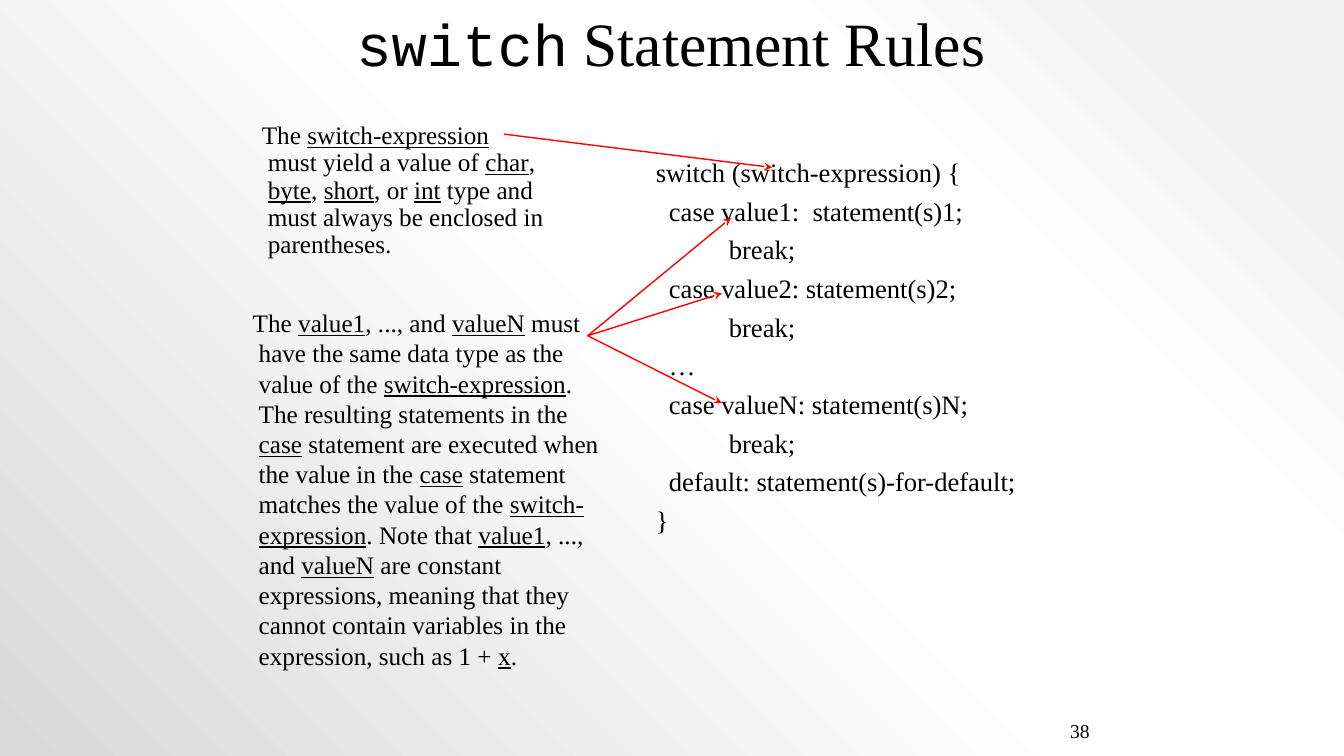
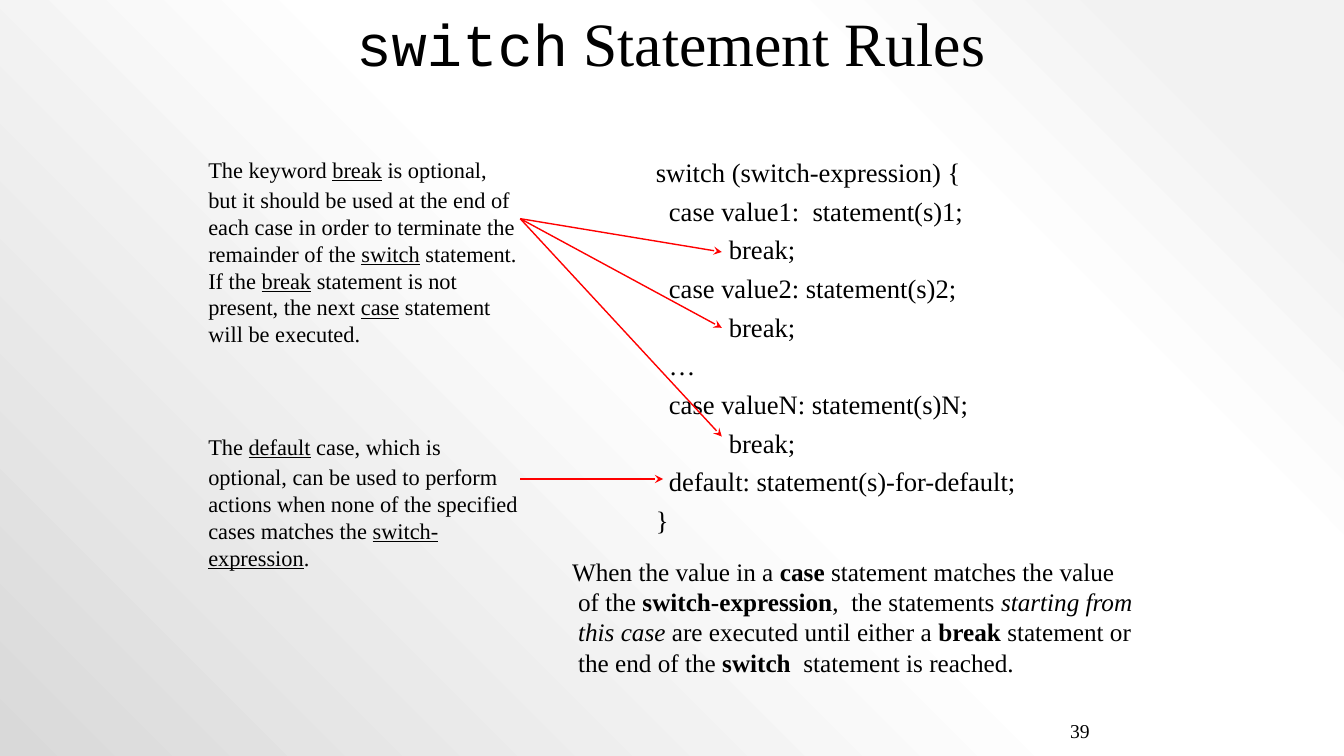
"""Build two slides that explain the rules of the switch statement."""
from dataclasses import dataclass
from typing import NamedTuple

from lxml.etree import SubElement
from pptx import Presentation
from pptx.dml.color import RGBColor
from pptx.enum.shapes import MSO_CONNECTOR
from pptx.enum.text import MSO_ANCHOR, PP_ALIGN
from pptx.oxml import parse_xml
from pptx.oxml.ns import nsdecls, qn
from pptx.slide import Slide, SlideMaster
from pptx.text.text import TextFrame, _Paragraph, _Run
from pptx.util import Cm, Pt

SERIF = "Times New Roman"
MONO = "Courier New"
BLACK = "000000"
RED = "FF0000"
BACKGROUND_STOPS = ((10, "F2F2F2"), (28, "FFFFFF"), (48, "FFFFFF"), (100, "D9D9D9"))
HANGING = 0.15
CASE_INDENT = 0.33
BREAK_INDENT = 1.84
VALUE_LEFT = 18.19


class Point(NamedTuple):
    x: float
    y: float


class Box(NamedTuple):
    left: float
    top: float
    width: float
    height: float


class CodeLine(NamedTuple):
    text: str
    indent: float = 0


@dataclass(frozen=True)
class Note:
    box: Box
    text: str
    size: int = 18
    line_spacing: float = 1.0
    leading_tab: bool = False


@dataclass(frozen=True)
class ArrowFan:
    start: Point
    ends: tuple[Point, ...]


@dataclass(frozen=True)
class RulesSlide:
    number: int
    notes: tuple[Note, ...]
    fans: tuple[ArrowFan, ...]


TITLE_BOX = Box(6.12, 0, 21.59, 2.11)
NUMBER_BOX = Box(22.43, 17.78, 5.28, 1.27)
CODE_BOX = Box(16.28, 3.81, 10.16, 10.59)

CODE = (
    CodeLine("switch (switch-expression) {"),
    CodeLine("case value1:  statement(s)1;", CASE_INDENT),
    CodeLine("break;", BREAK_INDENT),
    CodeLine("case value2: statement(s)2;", CASE_INDENT),
    CodeLine("break;", BREAK_INDENT),
    CodeLine("…", CASE_INDENT),
    CodeLine("case valueN: statement(s)N;", CASE_INDENT),
    CodeLine("break;", BREAK_INDENT),
    CodeLine("default: statement(s)-for-default;", CASE_INDENT),
    CodeLine("}"),
)

SLIDES = (
    RulesSlide(
        number=38,
        notes=(
            Note(
                Box(6.35, 2.97, 7.62, 3.58),
                "The |u:switch-expression| must yield a value of |u:char|, |u:byte|, "
                "|u:short|, or |u:int| type and must always be enclosed in parentheses.",
                line_spacing=0.9,
            ),
            Note(
                Box(6.12, 7.62, 9.53, 9.53),
                "The |u:value1|, ..., and |u:valueN| must have the same data type as the "
                "value of the |u:switch-expression|. The resulting statements in the "
                "|u:case| statement are executed when the value in the |u:case| statement "
                "matches the value of the |u:switch-expression|. Note that |u:value1|, ..., "
                "and |u:valueN| are constant expressions, meaning that they cannot contain "
                "variables in the expression, such as 1 + |u:x|.",
            ),
        ),
        fans=(
            ArrowFan(Point(12.7, 3.38), (Point(19.46, 4.22),)),
            ArrowFan(
                Point(14.81, 8.46),
                (Point(18.42, 5.49), Point(VALUE_LEFT, 7.39), Point(VALUE_LEFT, 10.16)),
            ),
        ),
    ),
    RulesSlide(
        number=39,
        notes=(
            Note(
                Box(4.85, 3.38, 8.46, 5.72),
                "The keyword |u:break| is optional, but it should be used at the end of "
                "each case in order to terminate the remainder of the |u:switch| statement. "
                "If the |u:break| statement is not present, the next |u:case| statement "
                "will be executed.",
                size=16,
                leading_tab=True,
            ),
            Note(
                Box(4.85, 10.36, 8.46, 4.22),
                "The |u:default| case, which is optional, can be used to perform actions "
                "when none of the specified cases matches the |u:switch-expression|.",
                size=16,
                leading_tab=True,
            ),
            Note(
                Box(14.17, 13.89, 14.81, 3.66),
                "When the value in a |b:case| statement matches the value of the "
                "|b:switch-expression|,  the statements |i:starting from this case| are "
                "executed until either a |b:break| statement or the end of the "
                "|b:switch|  statement is reached.",
            ),
        ),
        fans=(
            ArrowFan(
                Point(13.11, 5.51),
                (Point(VALUE_LEFT, 6.35), Point(VALUE_LEFT, 8.26), Point(VALUE_LEFT, 11)),
            ),
            ArrowFan(Point(13.11, 12.07), (Point(16.71, 12.07),)),
        ),
    ),
)


def color(value: str) -> RGBColor:
    return RGBColor.from_string(value)


def set_background(master: SlideMaster) -> None:
    master.background.fill.solid()
    properties = master.element.find(".//" + qn("p:bgPr"))
    stops = "".join(
        f'<a:gs pos="{position * 1000}"><a:srgbClr val="{value}"/></a:gs>'
        for position, value in BACKGROUND_STOPS
    )
    gradient = parse_xml(
        f'<a:gradFill {nsdecls("a")} rotWithShape="1"><a:gsLst>{stops}</a:gsLst>'
        '<a:path path="circle"><a:fillToRect l="100000" b="100000"/></a:path></a:gradFill>'
    )
    properties.replace(properties[0], gradient)


def add_text_frame(slide: Slide, box: Box, anchor: MSO_ANCHOR = MSO_ANCHOR.TOP) -> TextFrame:
    shape = slide.shapes.add_textbox(*(Cm(length) for length in box))
    text_frame = shape.text_frame
    text_frame.word_wrap = True
    text_frame.vertical_anchor = anchor
    return text_frame


def add_run(paragraph: _Paragraph, text: str, size: float, name: str = SERIF) -> _Run:
    run = paragraph.add_run()
    run.text = text
    run.font.size = Pt(size)
    run.font.name = name
    run.font.color.rgb = color(BLACK)
    return run


def set_indent(paragraph: _Paragraph, left: float, first_line: float = 0) -> None:
    properties = paragraph._p.get_or_add_pPr()
    properties.set("marL", str(Cm(left)))
    properties.set("indent", str(Cm(first_line)))


def add_title(slide: Slide) -> None:
    paragraph = add_text_frame(slide, TITLE_BOX, MSO_ANCHOR.MIDDLE).paragraphs[0]
    paragraph.alignment = PP_ALIGN.CENTER
    add_run(paragraph, "switch", 42, MONO)
    add_run(paragraph, " Statement Rules", 44)


def add_number(slide: Slide, number: int) -> None:
    paragraph = add_text_frame(slide, NUMBER_BOX, MSO_ANCHOR.MIDDLE).paragraphs[0]
    paragraph.alignment = PP_ALIGN.RIGHT
    add_run(paragraph, str(number), 14)


def add_code(slide: Slide) -> None:
    text_frame = add_text_frame(slide, CODE_BOX)
    text_frame.text = "\n".join(line.text for line in CODE)
    for paragraph, line in zip(text_frame.paragraphs, CODE):
        paragraph.space_before = Pt(4.8)
        set_indent(paragraph, line.indent)
        font = paragraph.runs[0].font
        font.size = Pt(19)
        font.name = SERIF
        font.color.rgb = color(BLACK)


def add_note(slide: Slide, note: Note) -> None:
    paragraph = add_text_frame(slide, note.box).paragraphs[0]
    paragraph.line_spacing = note.line_spacing
    set_indent(paragraph, HANGING, -HANGING)
    if note.leading_tab:
        add_run(paragraph, "\t", 28, MONO)
    for index, piece in enumerate(note.text.split("|")):
        if index % 2 == 0:
            add_run(paragraph, piece, note.size)
            continue
        style, text = piece.split(":")
        font = add_run(paragraph, text, note.size).font
        font.underline = style == "u"
        font.bold = style == "b"
        font.italic = style == "i"


def add_arrow(slide: Slide, start: Point, end: Point) -> None:
    connector = slide.shapes.add_connector(
        MSO_CONNECTOR.STRAIGHT, Cm(start.x), Cm(start.y), Cm(end.x), Cm(end.y)
    )
    connector.line.color.rgb = color(RED)
    connector.line.width = Pt(1)
    SubElement(connector.line._get_or_add_ln(), qn("a:tailEnd"), type="stealth")
    SubElement(connector._element.spPr, qn("a:effectLst"))


def add_rules_slide(slide: Slide, rules: RulesSlide) -> None:
    add_number(slide, rules.number)
    add_title(slide)
    add_code(slide)
    for note in rules.notes:
        add_note(slide, note)
    for fan in rules.fans:
        for end in fan.ends:
            add_arrow(slide, fan.start, end)


def main() -> None:
    presentation = Presentation()
    presentation.slide_width = Cm(33.87)
    presentation.slide_height = Cm(19.05)
    set_background(presentation.slide_master)
    blank_layout = presentation.slide_layouts[6]
    for rules in SLIDES:
        add_rules_slide(presentation.slides.add_slide(blank_layout), rules)
    presentation.save("out.pptx")


if __name__ == "__main__":
    main()
